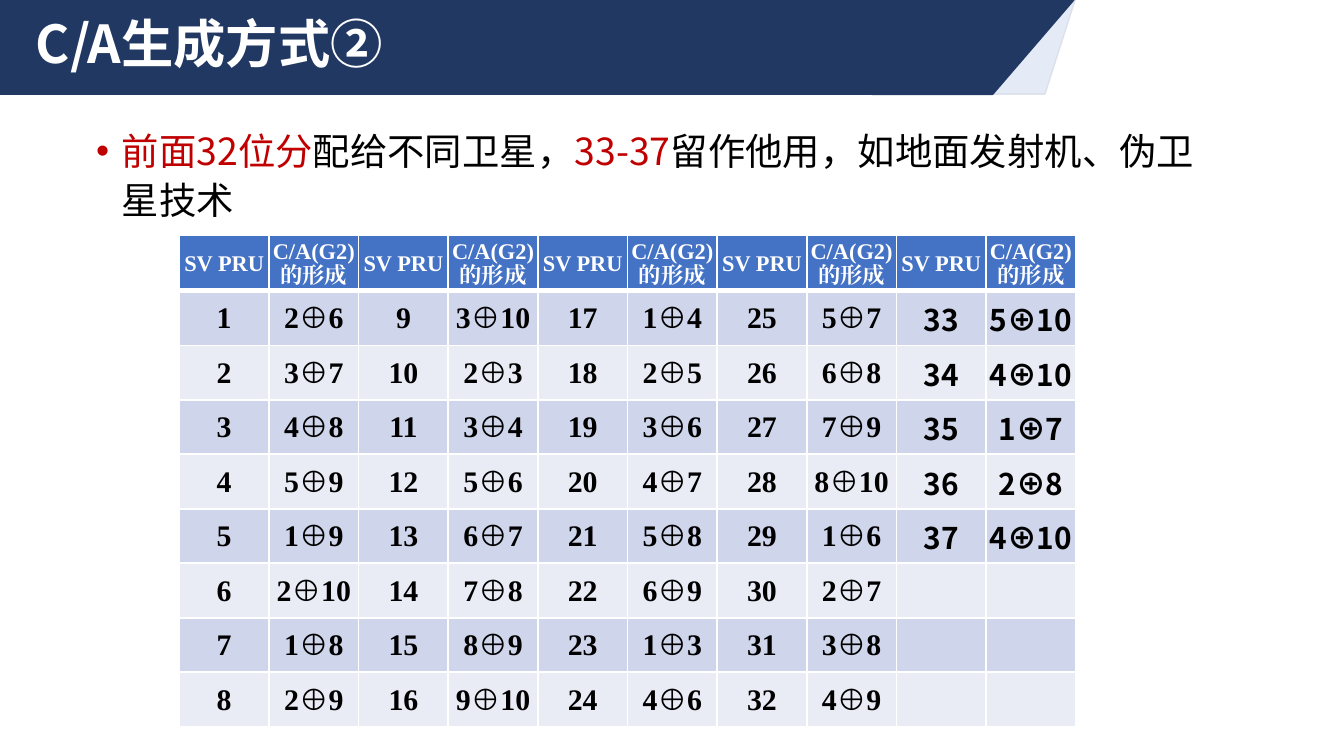
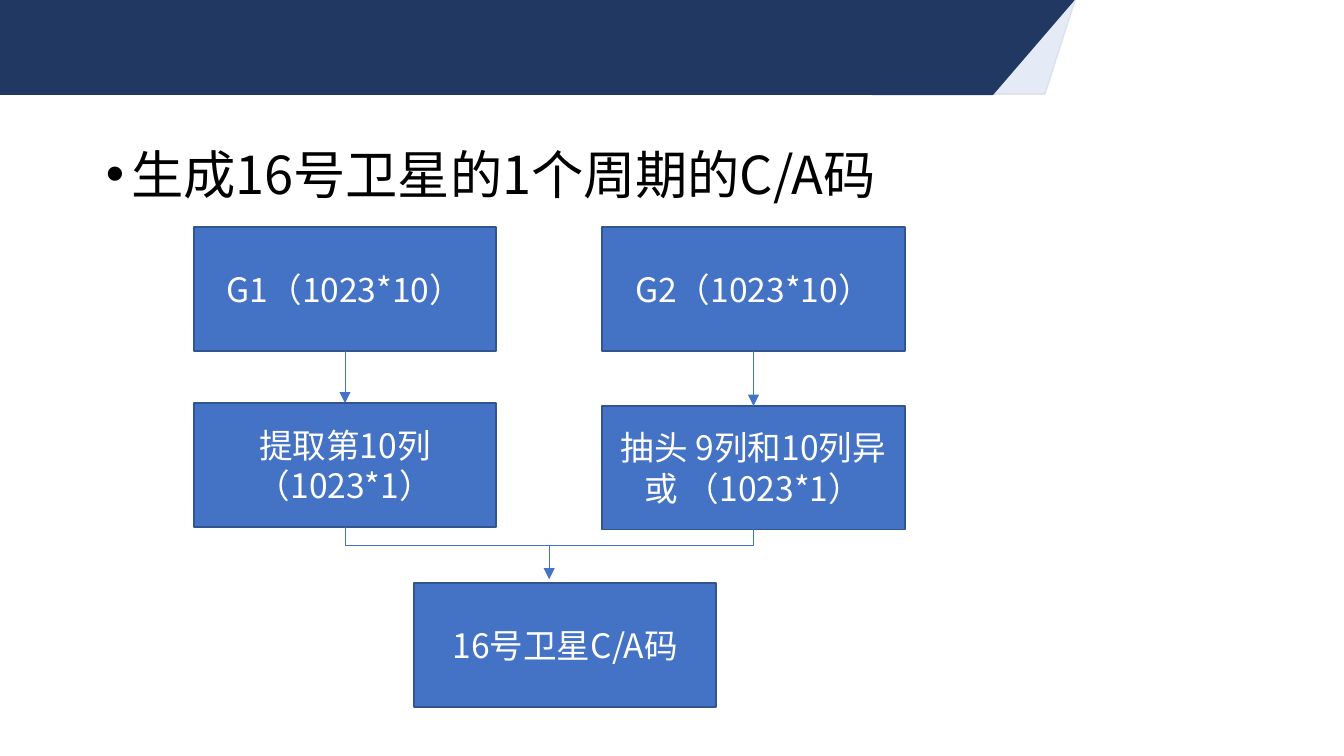
from dataclasses import dataclass, field
from typing import Any

import pptx
import pptx.dml.color
import pptx.enum.shapes
import pptx.enum.text
import pptx.oxml.ns
import pptx.shapes.base
import pptx.shapes.connector
import pptx.slide
import pptx.table
import pptx.text.text
import pptx.util
from lxml import etree

Cm = pptx.util.Cm
Pt = pptx.util.Pt
qn = pptx.oxml.ns.qn
SHAPE = pptx.enum.shapes.MSO_SHAPE
CONNECTOR = pptx.enum.shapes.MSO_CONNECTOR
ALIGN = pptx.enum.text.PP_ALIGN
ANCHOR = pptx.enum.text.MSO_ANCHOR


@dataclass(frozen=True)
class Theme:
    navy: str = "203862"
    pale: str = "DAE3F3"
    pale_line: str = "D6DCE5"
    blue: str = "4472C4"
    blue_line: str = "325491"
    band_odd: str = "CFD5EA"
    band_even: str = "E9EBF5"
    red: str = "C00000"
    black: str = "000000"
    white: str = "FFFFFF"
    sans: str = "Noto Sans CJK SC"
    serif: str = "Times New Roman"
    title: int = 28
    body: int = 20
    box: int = 18
    cell: int = 16
    header: int = 12


T = Theme()


@dataclass(frozen=True)
class Run:
    text: str
    size: float
    color: str = T.black
    font: str = T.sans
    bold: bool = False


@dataclass(frozen=True)
class Block:
    left: float
    top: float
    width: float
    height: float
    fill: str = T.blue
    line: str = T.blue_line
    line_width: float = 1
    preset: Any = SHAPE.RECTANGLE
    adj: float | None = None
    alpha: int | None = None
    runs: list[Run] = field(default_factory=list)

    @property
    def center(self) -> float:
        return self.left + self.width / 2

    @property
    def bottom(self) -> float:
        return self.top + self.height


@dataclass(frozen=True)
class Link:
    x1: float
    y1: float
    x2: float
    y2: float
    arrow: bool = True
    bent: bool = False


BANNER = [
    Block(17.04, 0, 3.28, 1.78, T.pale, T.pale_line, 0, SHAPE.PARALLELOGRAM, 0.32, 72),
    Block(0, 0, 18.42, 1.78, T.navy, T.navy),
    Block(16.48, 0, 3.81, 1.78, T.navy, T.navy, 1, SHAPE.PARALLELOGRAM, 0.86),
]

TAPS = [
    "2⊕6", "3⊕7", "4⊕8", "5⊕9", "1⊕9", "2⊕10", "1⊕8", "2⊕9",
    "3⊕10", "2⊕3", "3⊕4", "5⊕6", "6⊕7", "7⊕8", "8⊕9", "9⊕10",
    "1⊕4", "2⊕5", "3⊕6", "4⊕7", "5⊕8", "6⊕9", "1⊕3", "4⊕6",
    "5⊕7", "6⊕8", "7⊕9", "8⊕10", "1⊕6", "2⊕7", "3⊕8", "4⊕9",
    "5⊕10", "4⊕10", "1⊕7", "2⊕8", "4⊕10",
]
ROWS = 8
PAIRS = 5


def rgb(color: str) -> pptx.dml.color.RGBColor:
    return pptx.dml.color.RGBColor.from_string(color)


def apply(obj: Any, fmt: dict[str, Any]) -> None:
    for name, value in fmt.items():
        setattr(obj, name, value)


def add_runs(p: pptx.text.text._Paragraph, runs: list[Run]) -> None:
    for run in runs:
        r = p.add_run()
        r.text = run.text
        apply(r.font, {"size": Pt(run.size), "bold": run.bold, "name": run.font})
        r.font.color.rgb = rgb(run.color)
        etree.SubElement(r.font._element, qn("a:ea"), typeface=run.font)


def add_block(s: pptx.slide.Slide, block: Block) -> None:
    sp = s.shapes.add_shape(block.preset, Cm(block.left), Cm(block.top),
                            Cm(block.width), Cm(block.height))
    sp.shadow.inherit = False
    if block.adj is not None:
        sp.adjustments[0] = block.adj
    sp.fill.solid()
    sp.fill.fore_color.rgb = rgb(block.fill)
    sp.line.color.rgb = rgb(block.line)
    sp.line.width = Pt(block.line_width)
    if block.alpha is not None:
        for clr in sp._element.spPr.iter(qn("a:srgbClr")):
            etree.SubElement(clr, qn("a:alpha"), val=str(block.alpha * 1000))
    if block.runs:
        tf = sp.text_frame
        apply(tf, {"word_wrap": True, "vertical_anchor": ANCHOR.MIDDLE})
        p = tf.paragraphs[0]
        p.alignment = ALIGN.CENTER
        add_runs(p, block.runs)


def add_text(s: pptx.slide.Slide, box: tuple[float, float, float, float], runs: list[Run],
             spacing: float = 0.9, anchor: Any = ANCHOR.TOP, bullet: bool = True) -> None:
    sp = s.shapes.add_textbox(*(Cm(v) for v in box))
    tf = sp.text_frame
    apply(tf, {"word_wrap": True, "vertical_anchor": anchor})
    p = tf.paragraphs[0]
    p.line_spacing = spacing
    if bullet:
        p.space_before = Pt(7.5)
        pPr = p._p.get_or_add_pPr()
        indent = Cm(0.48)
        pPr.set("marL", str(indent))
        pPr.set("indent", str(-indent))
        etree.SubElement(pPr, qn("a:buFont"), typeface="Arial")
        etree.SubElement(pPr, qn("a:buChar"), char="•")
    add_runs(p, runs)


def add_link(s: pptx.slide.Slide, link: Link) -> None:
    kind = CONNECTOR.ELBOW if link.bent else CONNECTOR.STRAIGHT
    ends = (link.x1, link.y1, link.x2, link.y2)
    c = s.shapes.add_connector(kind, *(Cm(v) for v in ends))
    c.line.color.rgb = rgb(T.blue)
    c.line.width = Pt(0.5)
    spPr = c._element.spPr
    if link.bent:
        spPr.find(qn("a:prstGeom")).set("prst", "bentConnector2")
    if link.arrow:
        etree.SubElement(spPr.find(qn("a:ln")), qn("a:tailEnd"), type="triangle")
    etree.SubElement(spPr, qn("a:effectLst"))


def style_cell(cell: pptx.table._Cell, row: int) -> None:
    tcPr = cell._tc.get_or_add_tcPr()
    widths = {"lnL": 1, "lnR": 1, "lnT": 3 if row == 1 else 1, "lnB": 3 if row == 0 else 1}
    for side, width in widths.items():
        ln = etree.SubElement(tcPr, qn(f"a:{side}"), w=str(Pt(width)))
        fill = etree.SubElement(ln, qn("a:solidFill"))
        etree.SubElement(fill, qn("a:srgbClr"), val=T.white)
    cell.fill.solid()
    banding = T.band_odd if row % 2 else T.band_even
    cell.fill.fore_color.rgb = rgb(banding if row else T.blue)
    apply(cell, {"margin_left": Cm(0.03), "margin_right": Cm(0.03), "margin_top": Cm(0.03),
                 "margin_bottom": 0, "vertical_anchor": ANCHOR.MIDDLE})


def cell_run(row: int, col: int) -> Run | None:
    pair, is_tap = divmod(col, 2)
    if row == 0:
        text = "C/A(G2)的形成" if is_tap else "SV PRU"
        return Run(text, T.header, T.white, T.serif, True)
    number = pair * ROWS + row
    if number > len(TAPS):
        return None
    text = TAPS[number - 1] if is_tap else str(number)
    font = T.sans if pair == PAIRS - 1 else T.serif
    return Run(text, T.cell, font=font, bold=True)


def add_tap_table(s: pptx.slide.Slide) -> None:
    table = s.shapes.add_table(ROWS + 1, PAIRS * 2, Cm(3.39), Cm(4.45),
                               Cm(16.94), Cm(9.27)).table
    for row in range(ROWS + 1):
        for col in range(PAIRS * 2):
            cell = table.cell(row, col)
            style_cell(cell, row)
            run = cell_run(row, col)
            if run:
                p = cell.text_frame.paragraphs[0]
                p.alignment = ALIGN.CENTER
                add_runs(p, [run])


def flow_box(left: float, top: float, text: str) -> Block:
    return Block(left, top, 5.72, 2.34, runs=[Run(text, T.box, T.white)])


def add_flow(s: pptx.slide.Slide) -> None:
    g1 = flow_box(3.66, 4.29, "G1（1023*10）")
    g2 = flow_box(11.38, 4.29, "G2（1023*10）")
    column = flow_box(3.66, 7.62, "提取第10列（1023*1）")
    taps = flow_box(11.38, 7.67, "抽头 9列和10列异或 （1023*1）")
    code = flow_box(7.82, 11.02, "16号卫星C/A码")
    join = 10.31
    middle = (column.center + taps.center) / 2
    for block in (g1, g2, column, taps, code):
        add_block(s, block)
    for link in (
        Link(g1.center, g1.bottom, column.center, column.top),
        Link(g2.center, g2.bottom, taps.center, taps.top),
        Link(column.center, column.bottom, column.center, join, arrow=False),
        Link(column.center, join, taps.center, taps.bottom, arrow=False, bent=True),
        Link(middle, join, middle, 10.95),
    ):
        add_link(s, link)


def new_slide(prs: Any) -> pptx.slide.Slide:
    s = prs.slides.add_slide(prs.slide_layouts[6])
    for block in BANNER:
        add_block(s, block)
    return s


def main() -> None:
    prs = pptx.Presentation()
    apply(prs, {"slide_width": Cm(25.4), "slide_height": Cm(14.29)})

    s = new_slide(prs)
    add_text(s, (0.43, 0.15, 21.9, 1.47), [Run("C/A生成方式②", T.title, T.white, bold=True)],
             anchor=ANCHOR.MIDDLE, bullet=False)
    add_text(s, (1.57, 2.21, 21.39, 7.87), [
        Run("前面32位分", T.body, T.red),
        Run("配给不同卫星，", T.body),
        Run("33-37", T.body, T.red),
        Run("留作他用，如地面发射机、伪卫星技术", T.body),
    ], spacing=1.1)
    add_tap_table(s)

    s = new_slide(prs)
    add_text(s, (1.75, 2.69, 21.9, 10.16), [Run("生成16号卫星的1个周期的C/A码", T.title)])
    add_flow(s)

    prs.save("out.pptx")


if __name__ == "__main__":
    main()
